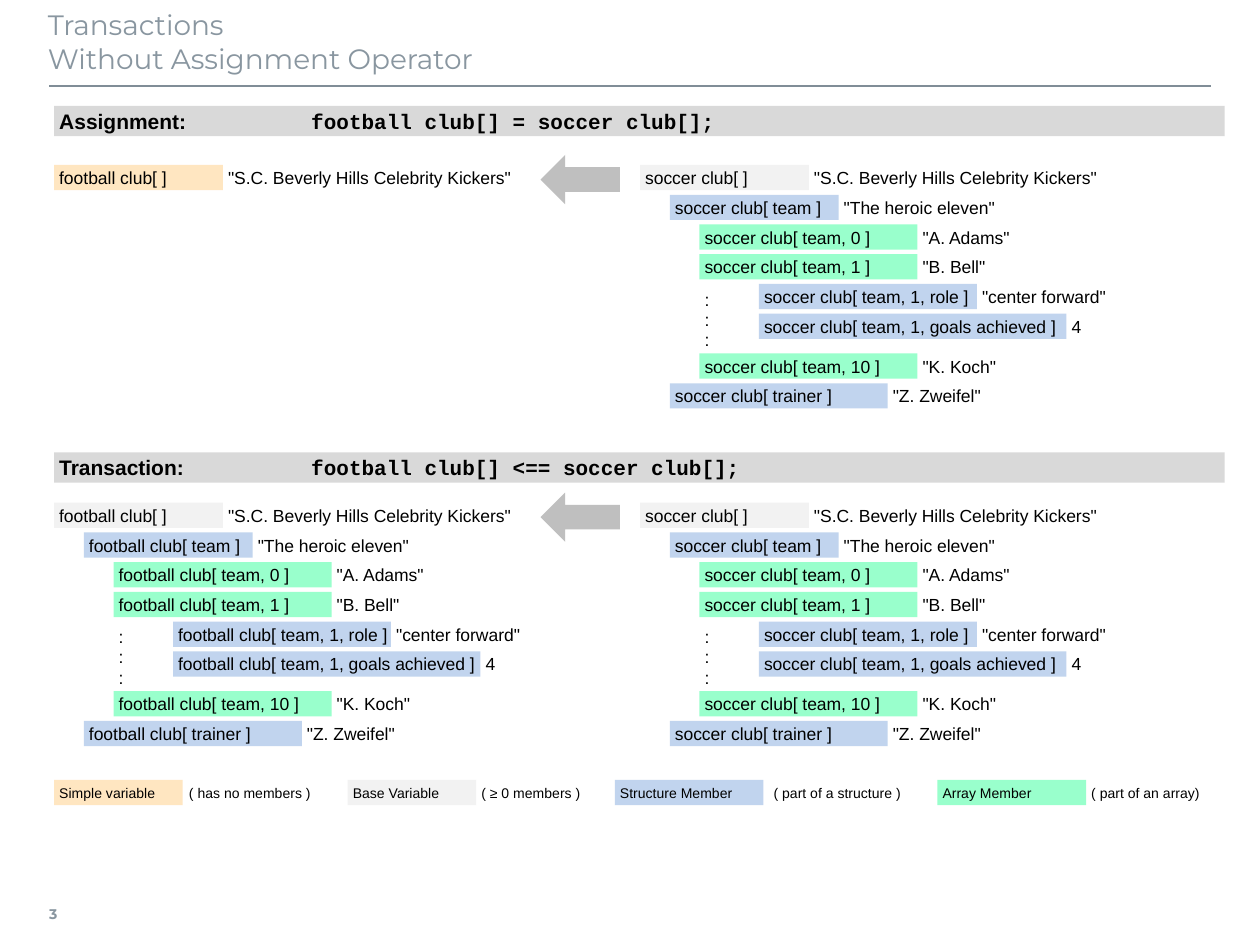
from lxml import etree
from pptx import Presentation
from pptx.dml.color import RGBColor
from pptx.enum.shapes import MSO_CONNECTOR, MSO_SHAPE
from pptx.enum.text import MSO_ANCHOR, MSO_AUTO_SIZE, PP_ALIGN
from pptx.oxml.ns import qn
from pptx.util import Inches, Pt

RECTANGLE = MSO_SHAPE.RECTANGLE
LEFT_ARROW = MSO_SHAPE.LEFT_ARROW
STRAIGHT = MSO_CONNECTOR.STRAIGHT
TOP, MIDDLE = MSO_ANCHOR.TOP, MSO_ANCHOR.MIDDLE
LEFT = PP_ALIGN.LEFT
NO_FIT = MSO_AUTO_SIZE.NONE

COLORS = {
    "simple": "FFE6C1",
    "base": "F2F2F2",
    "structure": "C1D4EE",
    "array": "99FFCC",
    "banner": "D9D9D9",
    "arrow": "BFBFBF",
    "rule": "808D97",
    "heading": "8996A0",
    "text": "000000",
}
PAD = 0.04
BAR_HEIGHT = 0.2
PITCH = 0.236  # both the row step and the indent of one level
DOTS_EXTRA = 0.08  # additional space before the last array member
CODE_TAB = 2.0
CLUB_NAME = '"S.C. Beverly Hills Celebrity Kickers"'

# level, row, kind, bar width, subscript, value, value width
MEMBERS = [
    (0, 0, "base", 1.34, "[ ]", CLUB_NAME, 2.28),
    (1, 1, "structure", 1.34, "[ team ]", '"The heroic eleven"', 2.28),
    (2, 2, "array", 1.73, "[ team, 0 ]", '"A. Adams"', 1.26),
    (2, 3, "array", 1.73, "[ team, 1 ]", '"B. Bell"', 1.26),
    (4, 4, "structure", 1.73, "[ team, 1, role ]", '"center forward"', 1.1),
    (4, 5, "structure", 2.44, "[ team, 1, goals achieved ]", "4", 0.39),
    (2, 6, "array", 1.73, "[ team, 10 ]", '"K. Koch"', 1.26),
    (1, 7, "structure", 1.73, "[ trainer ]", '"Z. Zweifel"', 1.73),
]

# left, bar width, kind, label, note left, note width, note
LEGEND = [
    (0.43, 1.02, "simple", "Simple variable", 1.46, 1.34, "( has no members )"),
    (2.76, 1.02, "base", "Base Variable", 3.78, 1.22, "( ≥ 0 members )"),
    (4.88, 1.18, "structure", "Structure Member", 6.1, 1.34, "( part of a structure )"),
    (7.44, 1.18, "array", "Array Member", 8.62, 1.18, "( part of an array)"),
]


def rgb(key):
    return RGBColor.from_string(COLORS[key])


def add_run(paragraph, text, size, font="Arial", color="text", bold=False):
    run = paragraph.add_run()
    run.text = text
    run.font.size = Pt(size)
    run.font.name = font
    run.font.bold = bold
    run.font.color.rgb = rgb(color)


def prepare_frame(frame, insets=(PAD,) * 4, anchor=MIDDLE, wrap=False):
    """Set the frame's layout and return its first paragraph."""
    frame.auto_size = NO_FIT
    frame.word_wrap = wrap
    frame.vertical_anchor = anchor
    (frame.margin_left, frame.margin_top,
     frame.margin_right, frame.margin_bottom) = map(Inches, insets)
    paragraph = frame.paragraphs[0]
    paragraph.alignment = LEFT
    return paragraph


def add_filled(slide, box, fill, preset=RECTANGLE):
    shape = slide.shapes.add_shape(preset, *map(Inches, box))
    shape.shadow.inherit = False
    shape.fill.solid()
    shape.fill.fore_color.rgb = rgb(fill)
    shape.line.fill.background()
    return shape


def add_bar(slide, box, fill, text, size=10):
    bar = add_filled(slide, box, fill)
    add_run(prepare_frame(bar.text_frame), text, size)


def add_label(slide, box, text, size=10):
    label = slide.shapes.add_textbox(*map(Inches, box))
    add_run(prepare_frame(label.text_frame), text, size)


def add_heading(slide, box):
    title = slide.shapes.title
    title.left, title.top, title.width, title.height = map(Inches, box)
    paragraph = prepare_frame(title.text_frame, (0, 0.05, 0.1, 0.05), TOP, True)
    add_run(paragraph, "Transactions", 16, "Montserrat", "heading")
    paragraph.add_line_break()
    add_run(paragraph, "Without Assignment Operator", 16, "Montserrat", "heading")


def add_rule(slide, left, right, top):
    rule = slide.shapes.add_connector(
        STRAIGHT, Inches(left), Inches(top), Inches(right), Inches(top))
    rule.line.color.rgb = rgb("rule")
    rule.line.width = Pt(1)
    etree.SubElement(rule._element.spPr, qn("a:effectLst"))


def add_page_number(slide, box):
    number = slide.shapes.add_textbox(*map(Inches, box))
    paragraph = prepare_frame(number.text_frame, (0, 0.05, 0.08, 0.05))
    add_run(paragraph, "3", 8, "Montserrat", "heading", True)


def add_banner(slide, box, caption, code):
    banner = add_filled(slide, box, "banner")
    paragraph = prepare_frame(banner.text_frame)
    tabs = etree.SubElement(paragraph._p.get_or_add_pPr(), qn("a:tabLst"))
    etree.SubElement(tabs, qn("a:tab"), pos=str(Inches(CODE_TAB)), algn="l")
    add_run(paragraph, caption, 12, bold=True)
    add_run(paragraph, "\t" + code, 12, "Courier New", bold=True)


def add_member(slide, left, top, club, member, kind=None):
    """Draw one variable bar followed by its value."""
    level, row, member_kind, width, subscript, value, value_width = member
    x = left + level * PITCH
    y = top + row * PITCH + (DOTS_EXTRA if row >= 6 else 0)
    add_bar(slide, (x, y, width, BAR_HEIGHT), kind or member_kind, club + subscript)
    add_label(slide, (x + width, y, value_width, BAR_HEIGHT), value)


def add_tree(slide, left, top, club):
    for member in MEMBERS:
        add_member(slide, left, top, club, member)
    for dot in range(3):
        dot_top = top + 4 * PITCH + dot * 0.16
        add_label(slide, (left + 2 * PITCH, dot_top, 0.16, 0.24), ":")


def add_arrow(slide, top):
    add_filled(slide, (4.29, top - 0.08, 0.63, 0.39), "arrow", LEFT_ARROW)


def add_legend(slide, top):
    for left, width, kind, label, note_left, note_width, note in LEGEND:
        add_bar(slide, (left, top, width, BAR_HEIGHT), kind, label, 8)
        add_label(slide, (note_left, top, note_width, BAR_HEIGHT), note, 8)


def main():
    prs = Presentation()
    prs.slide_width, prs.slide_height = Inches(10), Inches(7.5)
    slide = prs.slides.add_slide(prs.slide_layouts[5])
    football_left, soccer_left = 0.43, 5.08
    assignment_top, transaction_top = 1.31, 3.99

    add_heading(slide, (0.38, 0.01, 9.21, 0.63))
    add_rule(slide, 0.39, 9.61, 0.68)

    add_banner(slide, (football_left, 0.84, 9.29, 0.24),
               "Assignment:", "football club[] = soccer club[];")
    add_member(slide, football_left, assignment_top, "football club", MEMBERS[0], "simple")
    add_arrow(slide, assignment_top)
    add_tree(slide, soccer_left, assignment_top, "soccer club")

    add_banner(slide, (football_left, 3.59, 9.29, 0.24),
               "Transaction:", "football club[] <== soccer club[];")
    add_tree(slide, football_left, transaction_top, "football club")
    add_arrow(slide, transaction_top)
    add_tree(slide, soccer_left, transaction_top, "soccer club")

    add_legend(slide, 6.19)
    add_page_number(slide, (0.39, 7.06, 0.35, 0.39))
    prs.save("out.pptx")


if __name__ == "__main__":
    main()
